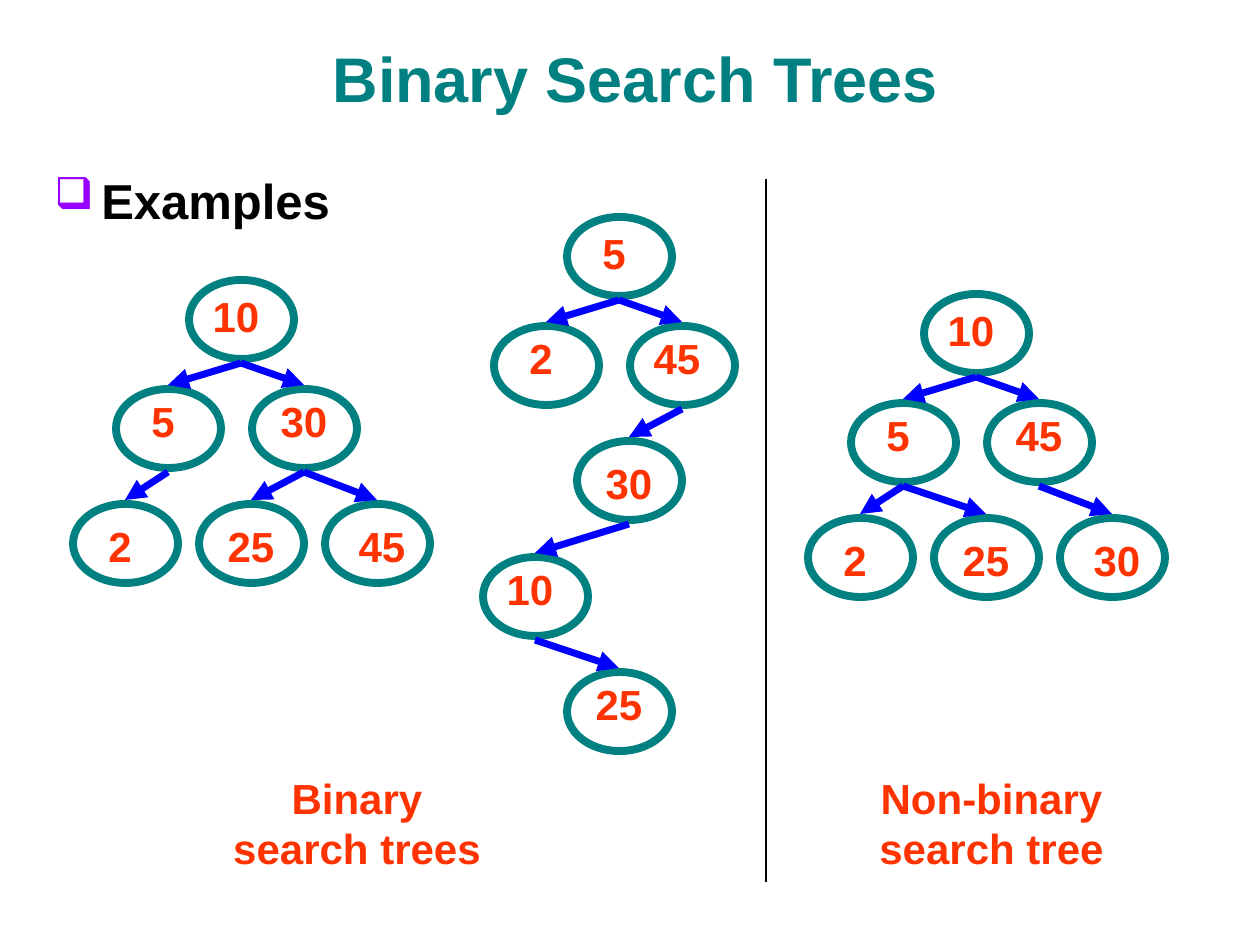
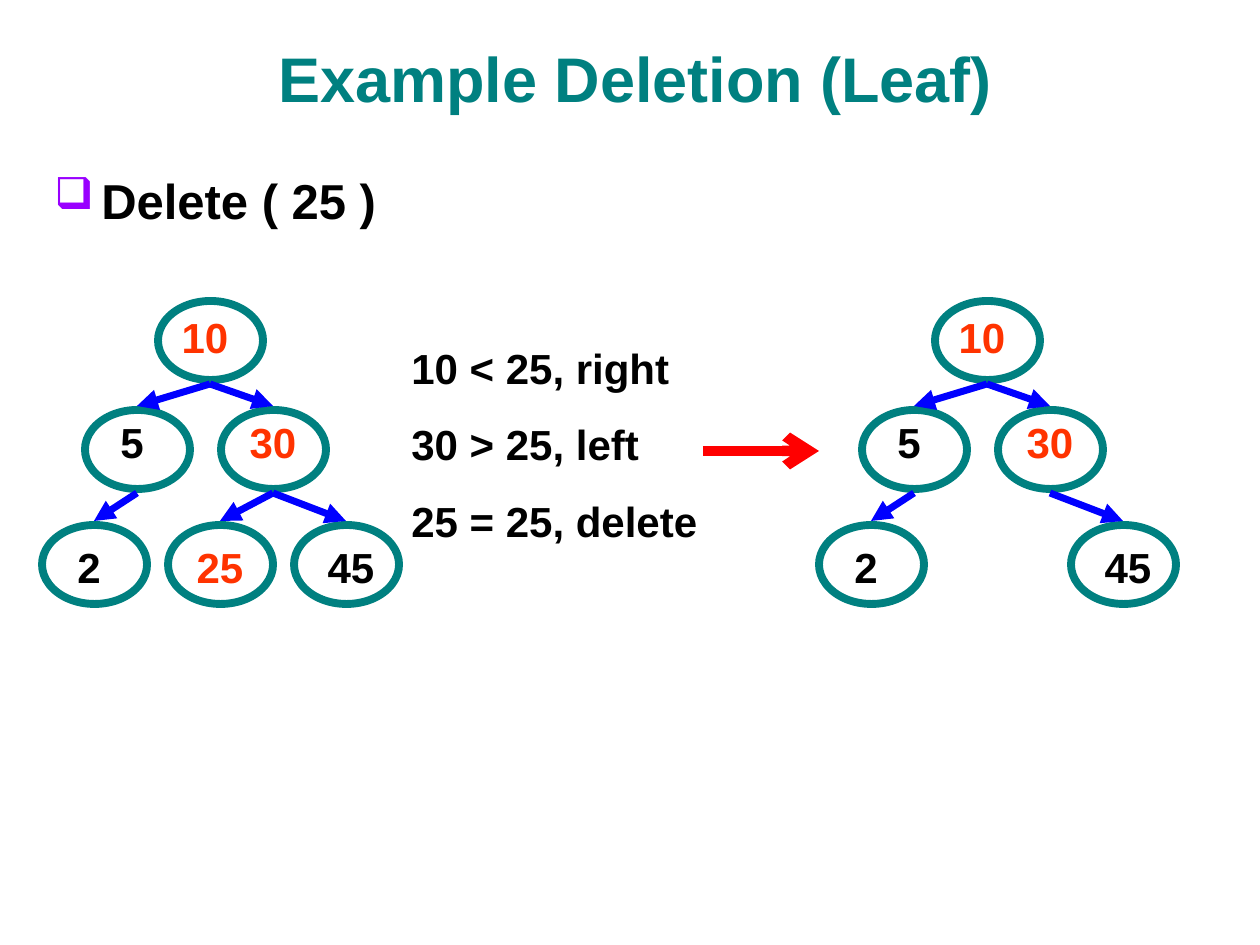
"""Two slides on binary search trees: examples, and deleting a leaf."""
from dataclasses import dataclass
from typing import NamedTuple

import lxml.etree
import pptx
import pptx.dml.color
import pptx.enum.shapes
import pptx.enum.text
import pptx.oxml.ns
import pptx.util

EMU_PER_PX = 914400 / 126
Align = pptx.enum.text.PP_ALIGN
Anchor = pptx.enum.text.MSO_ANCHOR


@dataclass(frozen=True)
class Theme:
    """Colours, font, type sizes and line widths (points)."""
    teal: str = "008080"
    purple: str = "9900FF"
    orange: str = "FF3300"
    black: str = "000000"
    blue: str = "0000FF"
    red: str = "FF0000"
    font: str = "Arial"
    title: int = 36
    heading: int = 28
    body: int = 24
    ring: float = 4.5
    edge: float = 4
    rule: float = 1
    step: float = 6


THEME = Theme()


class Box(NamedTuple):
    """A rectangle in pixels."""
    x: int
    y: int
    w: int
    h: int


class Slot(NamedTuple):
    """A node's place relative to the root, and its label's shift inside it."""
    dx: int
    dy: int
    label_dx: int = 0
    label_dy: int = 0


class Node(NamedTuple):
    """One tree node; parent is an index into the tree's node list."""
    slot: Slot
    key: str
    parent: int | None = None
    color: str = THEME.orange


NODE_W, NODE_H = 105, 79
LABEL_W, LABEL_H = 84, 63
EDGE_GAP = 4

ROOT = Slot(0, 0, -5, 4)
LEFT = Slot(-73, 109, -5)
RIGHT = Slot(63, 109)
LEAF_1, LEAF_2, LEAF_3 = (
    Slot(-116 + 126 * i, 224, 5 * (i - 1), 10) for i in range(3))

BALANCED = [
    Node(ROOT, "10"), Node(LEFT, "5", 0), Node(RIGHT, "30", 0),
    Node(LEAF_1, "2", 1), Node(LEAF_2, "25", 2), Node(LEAF_3, "45", 2)]
ZIGZAG = [
    Node(ROOT, "5"), Node(LEFT, "2", 0),
    Node(RIGHT._replace(label_dx=-5), "45", 0),
    Node(Slot(10, 224, 0, 10), "30", 2),
    Node(Slot(-84, 340, -5), "10", 3), Node(Slot(0, 455), "25", 4)]
NON_BINARY = [
    Node(ROOT, "10"), Node(LEFT, "5", 0), Node(RIGHT, "45", 0),
    Node(LEAF_1, "2", 1), Node(LEAF_2, "25", 1), Node(LEAF_3, "30", 2)]
SEARCH_PATH = {"10", "30", "25"}
BEFORE = [n if n.key in SEARCH_PATH else n._replace(color=THEME.black)
          for n in BALANCED]
AFTER = [n for n in BEFORE if n.key != "25"]


def px(n: float) -> pptx.util.Emu:
    """Turn pixels into EMU."""
    return pptx.util.Emu(round(n * EMU_PER_PX))


def rgb(color: str) -> pptx.dml.color.RGBColor:
    """Turn a hex string into a colour."""
    return pptx.dml.color.RGBColor.from_string(color)


def add_child(parent, tag: str, **attrs: str):
    """Append a DrawingML element."""
    return lxml.etree.SubElement(parent, pptx.oxml.ns.qn(tag), attrs)


def add_text(slide, box: Box, lines: list[str], size: int, color: str,
             align=Align.CENTER, anchor=Anchor.TOP, before: float = 0):
    """Add a bold text box with one paragraph per line; return its frame."""
    tf = slide.shapes.add_textbox(*map(px, box)).text_frame
    tf.word_wrap = True
    tf.vertical_anchor = anchor
    for i, line in enumerate(lines):
        p = tf.add_paragraph() if i else tf.paragraphs[0]
        p.alignment = align
        p.space_before = pptx.util.Pt(before)
        r = p.add_run()
        r.text = line
        r.font.name = THEME.font
        r.font.size = pptx.util.Pt(size)
        r.font.bold = True
        r.font.color.rgb = rgb(color)
    return tf


def add_line(slide, start: tuple[int, int], end: tuple[int, int],
             color: str, width: float, head: str = "") -> None:
    """Draw a straight line, with an arrowhead at its end if one is named."""
    sp = slide.shapes.add_connector(
        pptx.enum.shapes.MSO_CONNECTOR.STRAIGHT, *map(px, (*start, *end)))
    sp.line.color.rgb = rgb(color)
    sp.line.width = pptx.util.Pt(width)
    if head:
        add_child(sp.line._get_or_add_ln(), "a:tailEnd", type=head)
    add_child(sp._element.spPr, "a:effectLst")


def add_tree(slide, x: int, y: int, nodes: list[Node]) -> None:
    """Draw a tree whose root ellipse has its top left corner at x, y."""
    for node in nodes:
        slot = node.slot
        left, top = x + slot.dx, y + slot.dy
        center = left + NODE_W // 2
        sp = slide.shapes.add_shape(
            pptx.enum.shapes.MSO_SHAPE.OVAL,
            *map(px, (left, top, NODE_W, NODE_H)))
        sp.shadow.inherit = False
        sp.fill.background()
        sp.line.color.rgb = rgb(THEME.teal)
        sp.line.width = pptx.util.Pt(THEME.ring)
        if node.parent is not None:
            up = nodes[node.parent].slot
            add_line(slide,
                     (x + up.dx + NODE_W // 2, y + up.dy + NODE_H + EDGE_GAP),
                     (center, top - EDGE_GAP),
                     THEME.blue, THEME.edge, "triangle")
        label = Box(center - LABEL_W // 2 + slot.label_dx,
                    top + slot.label_dy, LABEL_W, LABEL_H)
        add_text(slide, label, [node.key], THEME.body, node.color)


def add_slide(prs, title: str, heading: str):
    """Add a blank slide with the shared title and bulleted heading."""
    slide = prs.slides.add_slide(prs.slide_layouts[6])
    add_text(slide, Box(42, 21, 1187, 100), [title], THEME.title, THEME.teal,
             anchor=Anchor.BOTTOM)
    tf = add_text(slide, Box(42, 158, 1187, 735), [heading], THEME.heading,
                  THEME.black, Align.LEFT, before=7)
    p = tf.paragraphs[0]
    p.line_spacing = 1.1
    pPr = p._p.get_or_add_pPr()
    pPr.set("marL", str(px(47)))
    pPr.set("indent", str(px(-47)))
    add_child(add_child(pPr, "a:buClr"), "a:srgbClr", val=THEME.purple)
    add_child(pPr, "a:buSzPct", val="90000")
    add_child(pPr, "a:buChar", char="\u2751")
    return slide


def build_examples(prs) -> None:
    """Two binary search trees beside a tree that is not one."""
    slide = add_slide(prs, "Binary Search Trees", "Examples")
    add_tree(slide, 189, 280, BALANCED)
    add_tree(slide, 567, 217, ZIGZAG)
    add_tree(slide, 924, 294, NON_BINARY)
    add_line(slide, (766, 179), (766, 882), THEME.black, THEME.rule)
    for box, caption in ((Box(210, 766, 294, 113), "Binary search trees"),
                         (Box(829, 766, 325, 113), "Non-binary search tree")):
        add_text(slide, box, [caption], THEME.body, THEME.orange)


def build_deletion(prs) -> None:
    """Deleting a leaf: the tree before, the steps, the tree after."""
    slide = add_slide(prs, "Example Deletion (Leaf)", "Delete ( 25 )")
    add_tree(slide, 158, 301, BEFORE)
    add_text(slide, Box(399, 336, 315, 217),
             ["10 < 25, right", "30 > 25, left", "25 = 25, delete"],
             THEME.body, THEME.black, Align.LEFT, before=15)
    add_line(slide, (703, 451), (819, 451), THEME.red, THEME.step, "arrow")
    add_tree(slide, 935, 301, AFTER)


def main() -> None:
    """Build and save the presentation."""
    prs = pptx.Presentation()
    prs.slide_width, prs.slide_height = px(1260), px(945)
    build_examples(prs)
    build_deletion(prs)
    prs.save("out.pptx")


main()
